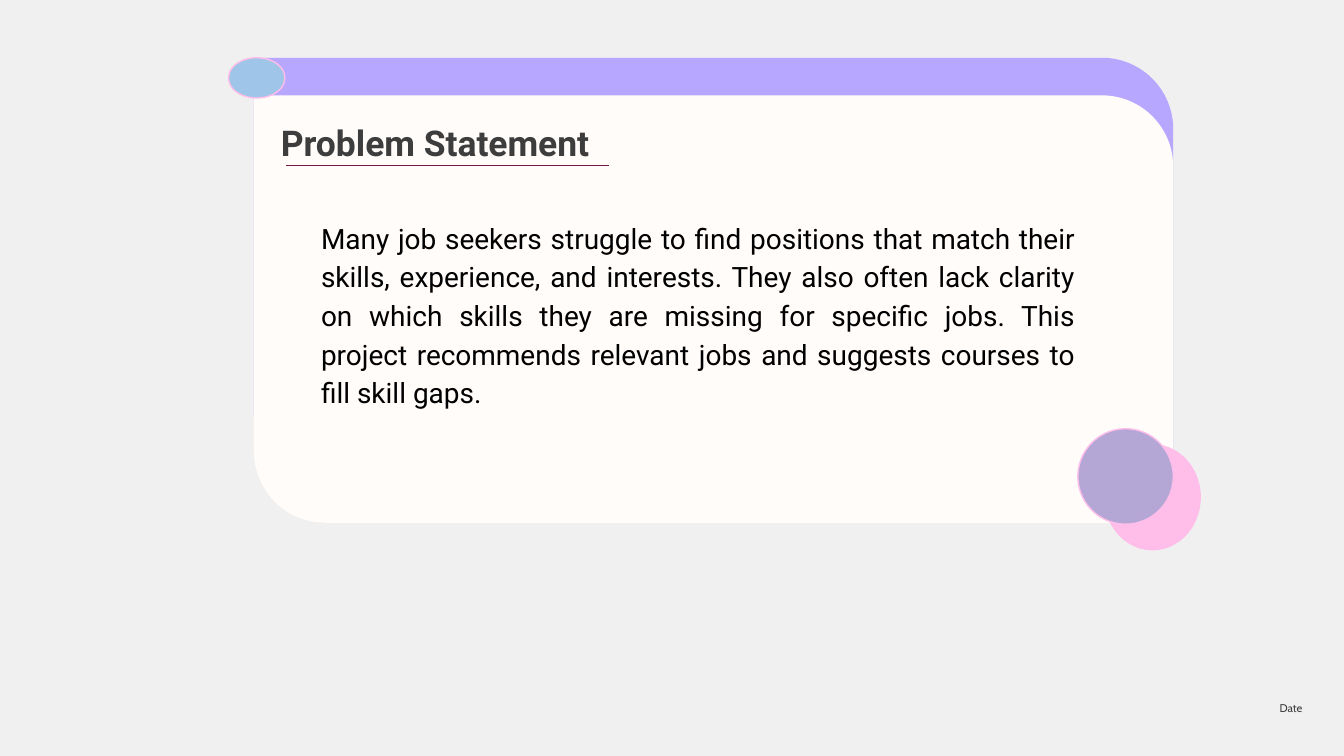
from dataclasses import dataclass

from lxml.etree import SubElement
from pptx import Presentation
from pptx.dml.color import RGBColor
from pptx.enum.shapes import MSO_CONNECTOR, MSO_SHAPE
from pptx.enum.text import MSO_ANCHOR, PP_ALIGN
from pptx.oxml.ns import qn
from pptx.util import Inches, Pt


@dataclass(frozen=True)
class Theme:
    background: str = "F0F0F0"
    lavender: str = "B8A7FF"
    cream: str = "FFFCFA"
    pink: str = "FFBDE9"
    mauve: str = "B4A7D6"
    sky: str = "9FC5E8"
    plum: str = "741B47"
    heading: str = "3D3D3D"
    body: str = "000000"
    title_size: float = 19
    body_size: float = 15
    date_size: float = 6
    line_width: float = 0.75
    line_spacing: float = 1.15
    main_font: str = "Roboto"
    date_font: str = "Cabin"


THEME = Theme()


def color(value):
    return RGBColor.from_string(value)


def add_filled_shape(page, kind, left, top, width, height, fill, outline=None):
    shape = page.shapes.add_shape(
        kind, Inches(left), Inches(top), Inches(width), Inches(height))
    shape.shadow.inherit = False
    shape.fill.solid()
    shape.fill.fore_color.rgb = color(fill)
    if outline:
        shape.line.color.rgb = color(outline)
        shape.line.width = Pt(THEME.line_width)
    else:
        shape.line.fill.background()
    return shape


def add_card(page, top, fill):
    card = add_filled_shape(
        page, MSO_SHAPE.ROUND_2_DIAG_RECTANGLE, 1.89, top, 6.84, 3.18, fill)
    card.adjustments[0] = 0.167
    card.adjustments[1] = 0
    card._element.spPr.find(qn("a:xfrm")).set("flipH", "1")


def add_text(page, text, left, top, width, height, size, text_color,
             font=THEME.main_font, align=PP_ALIGN.LEFT, bold=False,
             side_inset=0, end_inset=0):
    box = page.shapes.add_textbox(
        Inches(left), Inches(top), Inches(width), Inches(height))
    frame = box.text_frame
    frame.word_wrap = True
    frame.vertical_anchor = MSO_ANCHOR.TOP
    frame.margin_left = frame.margin_right = Inches(side_inset)
    frame.margin_top = frame.margin_bottom = Inches(end_inset)
    frame.text = text
    para = frame.paragraphs[0]
    para.alignment = align
    para.line_spacing = THEME.line_spacing
    span = para.runs[0]
    span.font.name = font
    span.font.size = Pt(size)
    span.font.bold = bold
    span.font.color.rgb = color(text_color)


def add_rule(page, left, right, top):
    rule = page.shapes.add_connector(
        MSO_CONNECTOR.STRAIGHT,
        Inches(left), Inches(top), Inches(right), Inches(top))
    rule.line.color.rgb = color(THEME.plum)
    rule.line.width = Pt(THEME.line_width)
    SubElement(rule._element.spPr, qn("a:effectLst"))


def main():
    # Widescreen page, 16:9
    deck = Presentation()
    deck.slide_width = Inches(10)
    deck.slide_height = Inches(10) * 9 // 16
    page = deck.slides.add_slide(deck.slide_layouts[6])
    page.background.fill.solid()
    page.background.fill.fore_color.rgb = color(THEME.background)

    # Layered cards
    add_card(page, 0.43, THEME.lavender)
    add_card(page, 0.71, THEME.cream)

    # Title, date and statement
    add_text(page, "Problem Statement", 1.89, 0.85, 6.13, 0.32,
             THEME.title_size, THEME.heading, bold=True, side_inset=0.2)
    add_text(page, "Date", 8.22, 5.2, 1.47, 0.11, THEME.date_size,
             THEME.heading, font=THEME.date_font, align=PP_ALIGN.RIGHT)
    add_text(page,
             "Many job seekers struggle to find positions that match their "
             "skills, experience, and interests. They also often lack clarity "
             "on which skills they are missing for specific jobs. This project "
             "recommends relevant jobs and suggests courses to fill skill gaps.",
             2.29, 1.51, 5.81, 1.7, THEME.body_size, THEME.body,
             align=PP_ALIGN.JUSTIFY, side_inset=0.1, end_inset=0.1)

    # Corner circles
    add_filled_shape(page, MSO_SHAPE.OVAL, 8.22, 3.31, 0.71, 0.78,
                     THEME.pink, THEME.pink)
    add_filled_shape(page, MSO_SHAPE.OVAL, 8.02, 3.19, 0.71, 0.71,
                     THEME.mauve, THEME.pink)
    add_filled_shape(page, MSO_SHAPE.FLOWCHART_CONNECTOR, 1.7, 0.43, 0.42, 0.3,
                     THEME.sky, THEME.pink)

    # Title underline
    add_rule(page, 2.13, 4.53, 1.23)

    deck.save("out.pptx")


if __name__ == "__main__":
    main()
